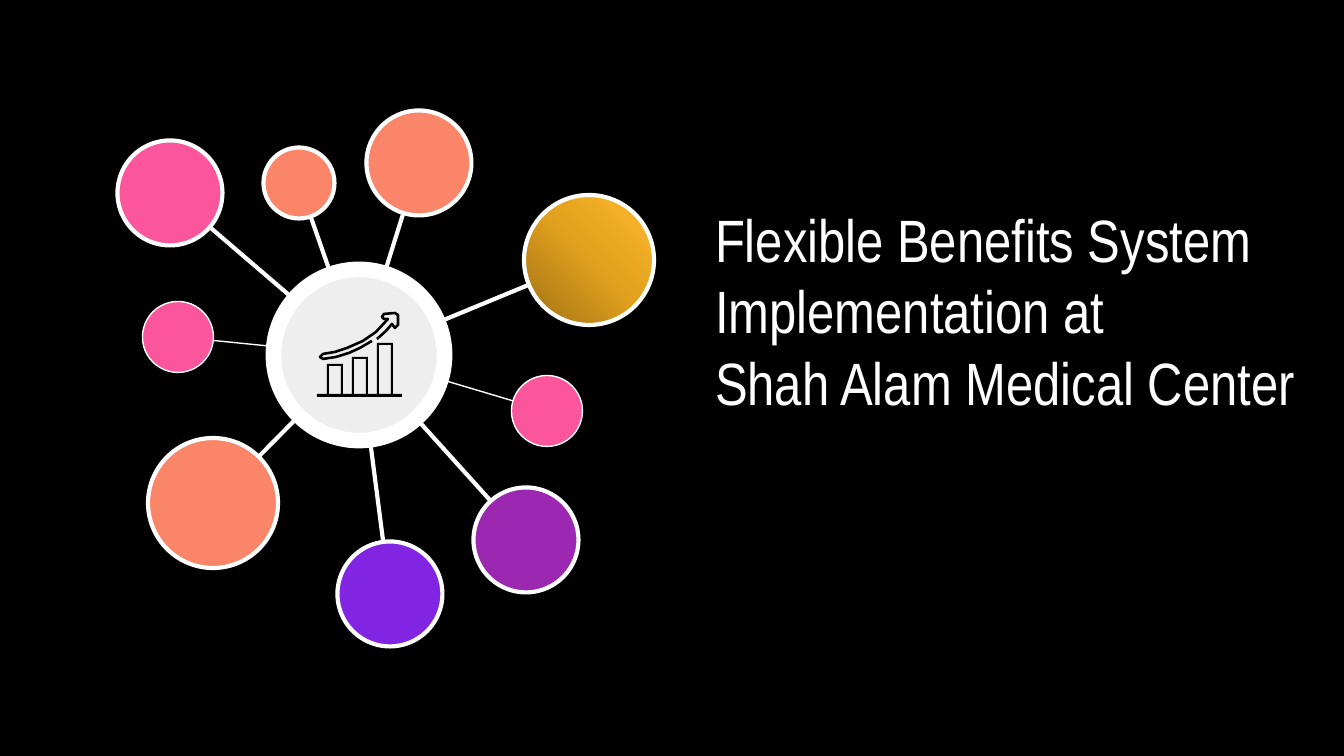
import copy

import pptx
import pptx.dml.color
import pptx.enum.shapes
import pptx.enum.text
import pptx.oxml.ns
import pptx.util

UNIT = 914400 / 134.4
SIZE = (1344, 756)
THEME = {
    "back": "000000", "ink": "000000", "line": "FFFFFF", "text": "FFFFFF",
    "hub": "EEEEEE", "coral": "FB8569", "pink": "FB569C",
    "plum": "9C27B0", "violet": "8225E2",
    "gold": ("9E7014", "E09F1D", "FFB92D"),
    "font": "Arial Narrow", "title": 32,
    "thick": 2.25, "rim": 1.5, "thin": 0.75, "stroke": 1.4,
}
HUB = (241, 245)
# centre x, centre y, diameter, fill, line
NODES = [
    (471, 150, 130, "gold", "thick"),
    (95, 393, 130, "coral", "thick"),
    (301, 53, 105, "coral", "thick"),
    (52, 83, 105, "pink", "thick"),
    (408, 430, 105, "plum", "thick"),
    (272, 484, 105, "violet", "thick"),
    (60, 227, 71, "pink", "thin"),
    (429, 301, 71, "pink", "thin"),
    (181, 73, 71, "coral", "thick"),
]
BARS = [(10, 52), (35, 45), (60, 31)]  # left, top
ARROW = [
    (55, 29), (43, 36), (32, 41), (19, 45), (6, 47), (3, 45), (6, 42),
    (18, 40), (30, 36), (46, 29), (59, 20), (71, 7), (67, 7), (65, 5),
    (67, 2), (78, 1), (81, 3), (81, 13), (78, 16), (75, 12), (69, 19),
    (60, 27),
]


def px(*nums):
    return [pptx.util.Emu(round(n * UNIT)) for n in nums]


def rgb(code):
    return pptx.dml.color.RGBColor.from_string(code)


def paint(fill, code):
    fill.solid()
    fill.fore_color.rgb = rgb(code)


def blend(shape, codes):
    """Fill with evenly spaced colours, from lower left to upper right."""
    shape.fill.gradient()
    shape.fill.gradient_angle = 45
    stops = next(shape._element.iter(pptx.oxml.ns.qn("a:gsLst")))
    while len(stops) < len(codes):
        stops.append(copy.deepcopy(stops[0]))
    for i, (stop, code) in enumerate(zip(shape.fill.gradient_stops, codes)):
        stop.position = i / (len(codes) - 1)
        stop.color.rgb = rgb(code)


def rule(line, code, width):
    paint(line.fill, code)
    line.width = pptx.util.Pt(width)


def disc(slide, x, y, size, fill, width):
    shape = slide.shapes.add_shape(
        pptx.enum.shapes.MSO_SHAPE.OVAL,
        *px(x - size / 2, y - size / 2, size, size))
    shape.shadow.inherit = False
    if isinstance(fill, tuple):
        blend(shape, fill)
    else:
        paint(shape.fill, fill)
    rule(shape.line, THEME["line"], width)


def spoke(slide, start, end, width):
    link = slide.shapes.add_connector(
        pptx.enum.shapes.MSO_CONNECTOR.STRAIGHT, *px(*start, *end))
    rule(link.line, THEME["line"], width)
    props = link._element.spPr
    props.append(props.makeelement(pptx.oxml.ns.qn("a:effectLst"), {}))


def trace(slide, box, loops, close):
    """Draw point lists as one freeform."""
    build = slide.shapes.build_freeform(*loops[0][0], scale=UNIT)
    build.add_line_segments(loops[0][1:], close=close)
    for loop in loops[1:]:
        build.move_to(*loop[0])
        build.add_line_segments(loop[1:], close=close)
    shape = build.convert_to_shape(*px(*box[:2]))
    shape.shadow.inherit = False
    return shape


def icon(slide, box):
    """Growth chart: hollow bars on a base line, under a rising arrow."""
    wide, high = box[2:]
    base, bar, edge = high - 3, 16, 2
    rim, holes = [(0, base)], []
    for x, y in BARS:
        rim += [(x, base), (x, y), (x + bar, y), (x + bar, base)]
        left, right, top = x + edge, x + bar - edge, y + edge
        holes.append([(left, top), (right, top), (right, base), (left, base)])
    rim += [(wide, base), (wide, high), (0, high)]
    chart = trace(slide, box, [rim, *holes], True)
    paint(chart.fill, THEME["ink"])
    chart.line.fill.background()
    arrow = trace(slide, box, [ARROW], False)
    arrow.fill.background()
    rule(arrow.line, THEME["ink"], THEME["stroke"])


def web(slide, box):
    """Hub with a ring of linked discs."""
    left, top = box[:2]
    hub = (left + HUB[0], top + HUB[1])
    for x, y, size, fill, width in NODES:
        spot = (left + x, top + y)
        spoke(slide, spot, hub, THEME[width])
        disc(slide, *spot, size, THEME[fill], THEME[width])
    disc(slide, *hub, 184, THEME["line"], THEME["rim"])
    disc(slide, *hub, 157, THEME["hub"], THEME["thin"])
    icon(slide, (hub[0] - 42, hub[1] - 43, 85, 85))


def title(slide, box, text):
    frame = slide.shapes.add_textbox(*px(*box)).text_frame
    inset = px(13)[0]
    form = {
        "word_wrap": True,
        "vertical_anchor": pptx.enum.text.MSO_ANCHOR.MIDDLE,
        "margin_left": inset, "margin_right": inset,
        "margin_top": inset, "margin_bottom": inset,
    }
    for key, value in form.items():
        setattr(frame, key, value)
    para = frame.paragraphs[0]
    para.text = text
    look = {"name": THEME["font"], "size": pptx.util.Pt(THEME["title"])}
    for run in para.runs:
        for key, value in look.items():
            setattr(run.font, key, value)
        run.font.color.rgb = rgb(THEME["text"])


def main():
    deck = pptx.Presentation()
    deck.slide_width, deck.slide_height = px(*SIZE)
    slide = deck.slides.add_slide(deck.slide_layouts[6])
    paint(slide.background.fill, THEME["back"])
    title(slide, (702, 191, 626, 238),
          "Flexible Benefits System Implementation at \v"
          "Shah Alam Medical Center")
    web(slide, (118, 110, 536, 536))
    deck.save("out.pptx")


if __name__ == "__main__":
    main()
